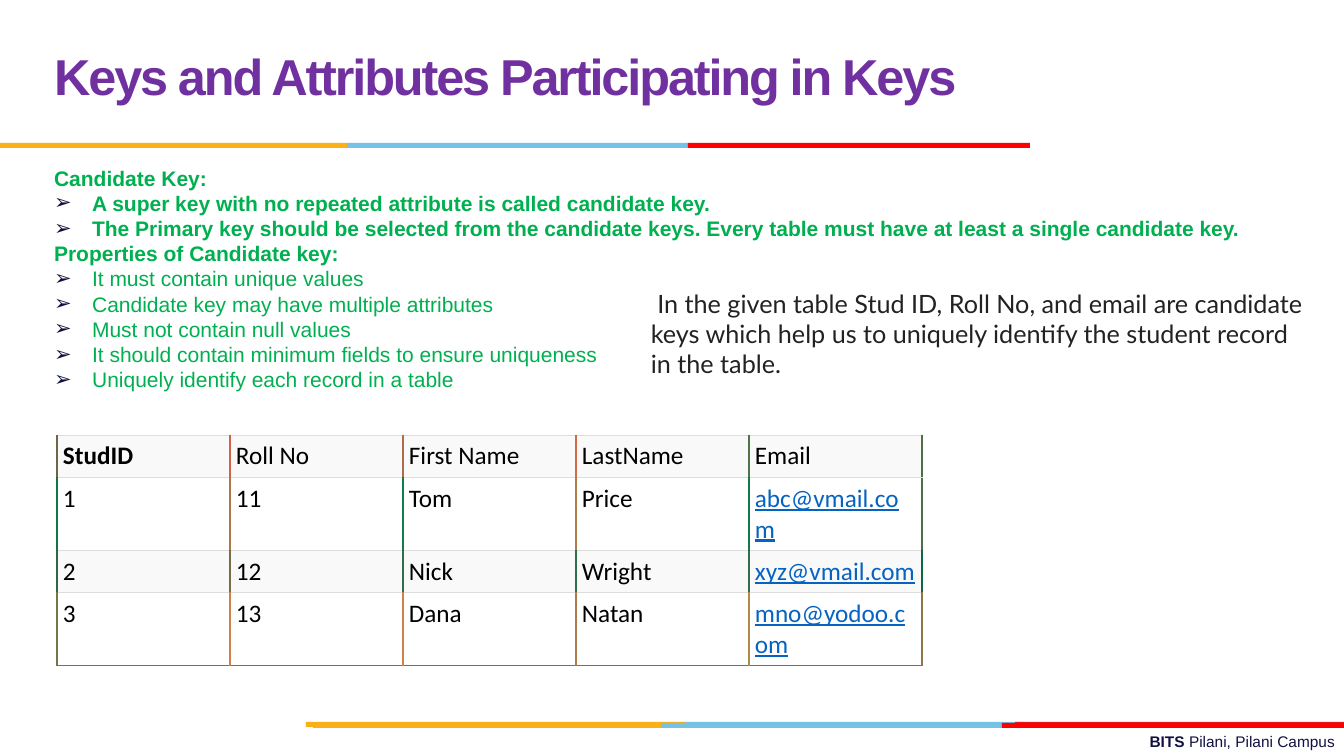
from lxml import etree
from pptx import Presentation
from pptx.dml.color import RGBColor
from pptx.enum.shapes import MSO_SHAPE
from pptx.enum.text import MSO_ANCHOR, MSO_AUTO_SIZE, PP_ALIGN
from pptx.oxml.ns import qn
from pptx.util import Emu, Pt

RECT = MSO_SHAPE.RECTANGLE
MIDDLE = MSO_ANCHOR.MIDDLE
TOP = MSO_ANCHOR.TOP
FIXED = MSO_AUTO_SIZE.NONE
LEFT, RIGHT = PP_ALIGN.LEFT, PP_ALIGN.RIGHT

HEX = {
    "gold": "FCB017", "sky": "76C2E5", "red": "FF0000", "brick": "E31C24",
    "navy": "101141", "green": "00B050", "purple": "7030A0", "gray": "222222",
    "black": "000000", "link": "0563C1", "white": "FFFFFF", "pale": "F9F9F9",
    "rule": "DDDDDD", "base": "707848",
}

TITLE = "Keys and Attributes Participating in Keys"
# text, bold, bullet
POINTS = [
    ("Candidate Key:", True, False),
    ("A super key with no repeated attribute is called candidate key.", True, True),
    ("The Primary key should be selected from the candidate keys. "
     "Every table must have at least a single candidate key.", True, True),
    ("Properties of Candidate key:", True, False),
    ("It must contain unique values", False, True),
    ("Candidate key may have multiple attributes", False, True),
    ("Must not contain null values", False, True),
    ("It should contain minimum fields to ensure uniqueness", False, True),
    ("Uniquely identify each record in a table", False, True),
]
NOTE = (" In the given table Stud ID, Roll No, and email are candidate keys "
        "which help us to uniquely identify the student record in the table.")
FOOT = [("BITS ", True), ("Pilani, Pilani Campus", False)]

STUDENTS = [
    ("StudID", "Roll No", "First Name", "LastName", "Email"),
    ("1", "11", "Tom", "Price", "abc@vmail.com"),
    ("2", "12", "Nick", "Wright", "xyz@vmail.com"),
    ("3", "13", "Dana", "Natan", "mno@yodoo.com"),
]
ROWS = [42, 73, 42, 73]
COL = 173
# colours of the upright lines in each row, left to right
EDGES = [
    ("706448", "D06248", "B06C48", "D06B48", "507448", "506D48"),
    ("107648", "B07648", "107D48", "B07C48", "107A48", "506D48"),
    ("306548", "706F48", "306D48", "306D48", "306D48", "106748"),
    ("707848", "D07F48", "D07F48", "B07A48", "B08948", "907548"),
]
# top, then (colour, left, width) for each piece
BARS = [
    (722, [("sky", 680, 343), ("brick", 1015, 329), ("gold", 306, 379)]),
    (723, [("sky", 661, 343), ("gold", 313, 348), ("red", 1002, 342)]),
    (143, [("sky", 347, 342), ("gold", 0, 347), ("red", 688, 342)]),
]


def px(n):
    return Emu(round(n * 914400 / 100.8))


def rgb(name):
    return RGBColor.from_string(HEX[name])


def write(para, text, size, face, color, bold=False):
    run = para.add_run()
    run.text = text
    font = run.font
    font.size, font.name, font.bold = Pt(size), face, bold
    font.color.rgb = rgb(color)
    return run


def place(shape, left, top, width, height):
    shape.left, shape.top = px(left), px(top)
    shape.width, shape.height = px(width), px(height)


def mark(para, bullet):
    """Hang the paragraph and set or clear its arrow bullet."""
    props = para._p.get_or_add_pPr()
    props.set("marL", str(px(38)))
    props.set("indent", str(-px(38)))
    if not bullet:
        etree.SubElement(props, qn("a:buNone"))
        return
    tint = etree.SubElement(props, qn("a:buClr"))
    etree.SubElement(tint, qn("a:srgbClr"), val=HEX["navy"])
    etree.SubElement(props, qn("a:buFont"), typeface="Arial")
    etree.SubElement(props, qn("a:buChar"), char="➢")


def edge(cell, side, color, width):
    line = etree.SubElement(cell._tc.get_or_add_tcPr(), qn("a:ln" + side),
                            w=str(Pt(width)))
    fill = etree.SubElement(line, qn("a:solidFill"))
    etree.SubElement(fill, qn("a:srgbClr"), val=color)


def add_title(slide):
    box = slide.shapes.title
    place(box, 44, 17, 1000, 126)
    frame = box.text_frame
    frame.auto_size, frame.vertical_anchor = FIXED, MIDDLE
    para = frame.paragraphs[0]
    para.alignment, para.line_spacing = LEFT, Pt(36)
    run = write(para, TITLE, 36, "Arial", "purple", True)
    run.font._element.set("spc", "-150")


def add_points(slide):
    box = slide.placeholders[1]
    place(box, 44, 165, 1269, 237)
    frame = box.text_frame
    frame.auto_size, frame.vertical_anchor = FIXED, TOP
    for i, (text, bold, bullet) in enumerate(POINTS):
        para = frame.add_paragraph() if i else frame.paragraphs[0]
        mark(para, bullet)
        para.line_spacing = 0.8
        para.space_before = Pt(3.6 if i else 0)
        write(para, text, 15, "Arial", "green", bold)


def add_text(slide, spot, align, runs, style):
    box = slide.shapes.add_textbox(0, 0, 0, 0)
    place(box, *spot)
    box.text_frame.word_wrap = True
    para = box.text_frame.paragraphs[0]
    para.alignment = align
    for text, bold in runs:
        write(para, text, *style, bold)


def add_bars(slide):
    for top, parts in BARS:
        for color, left, width in parts:
            bar = slide.shapes.add_shape(RECT, px(left), px(top), px(width), px(5))
            bar.shadow.inherit = False
            bar.fill.solid()
            bar.fill.fore_color.rgb = rgb(color)
            bar.line.fill.background()


def add_students(slide):
    count = len(STUDENTS[0])
    table = slide.shapes.add_table(len(ROWS), count, px(57), px(435),
                                   px(COL * count), px(sum(ROWS))).table
    table.first_row = table.horz_banding = False
    for col in table.columns:
        col.width = px(COL)
    last = len(ROWS) - 1
    for r, record in enumerate(STUDENTS):
        table.rows[r].height = px(ROWS[r])
        for c, text in enumerate(record):
            cell = table.cell(r, c)
            cell.margin_left = cell.margin_right = px(6)
            cell.margin_top = cell.margin_bottom = px(6)
            edge(cell, "L", EDGES[r][c], 1)
            edge(cell, "R", EDGES[r][c + 1], 1)
            edge(cell, "T", HEX["rule"], 0.5)
            if r == last:
                edge(cell, "B", HEX["base"], 1)
            else:
                edge(cell, "B", HEX["rule"], 0.5)
            cell.fill.solid()
            cell.fill.fore_color.rgb = rgb("white" if r % 2 else "pale")
            mail = "@" in text
            run = write(cell.text_frame.paragraphs[0], text, 18, "Calibri",
                        "link" if mail else "black", r == c == 0)
            run.font.underline = mail


def main():
    deck = Presentation()
    deck.slide_width, deck.slide_height = px(1344), px(756)
    slide = deck.slides.add_slide(deck.slide_layouts[1])
    add_title(slide)
    add_points(slide)
    add_text(slide, (482, 727, 863, 29), RIGHT, FOOT, (11, "Arial", "navy"))
    add_bars(slide)
    add_students(slide)
    add_text(slide, (641, 283, 672, 102), LEFT, [(NOTE, False)],
             (18, "Lato", "gray"))
    deck.save("out.pptx")


if __name__ == "__main__":
    main()
